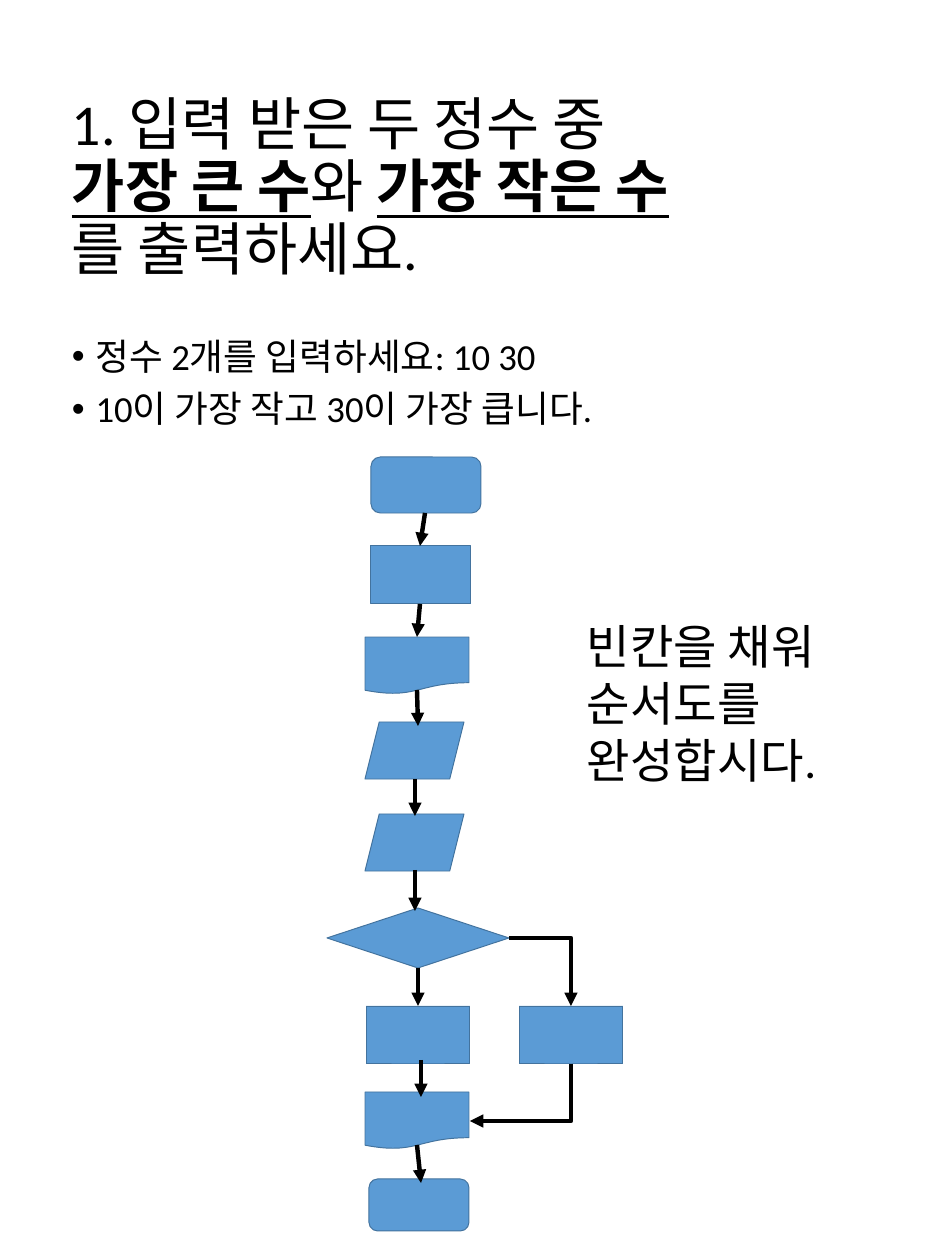
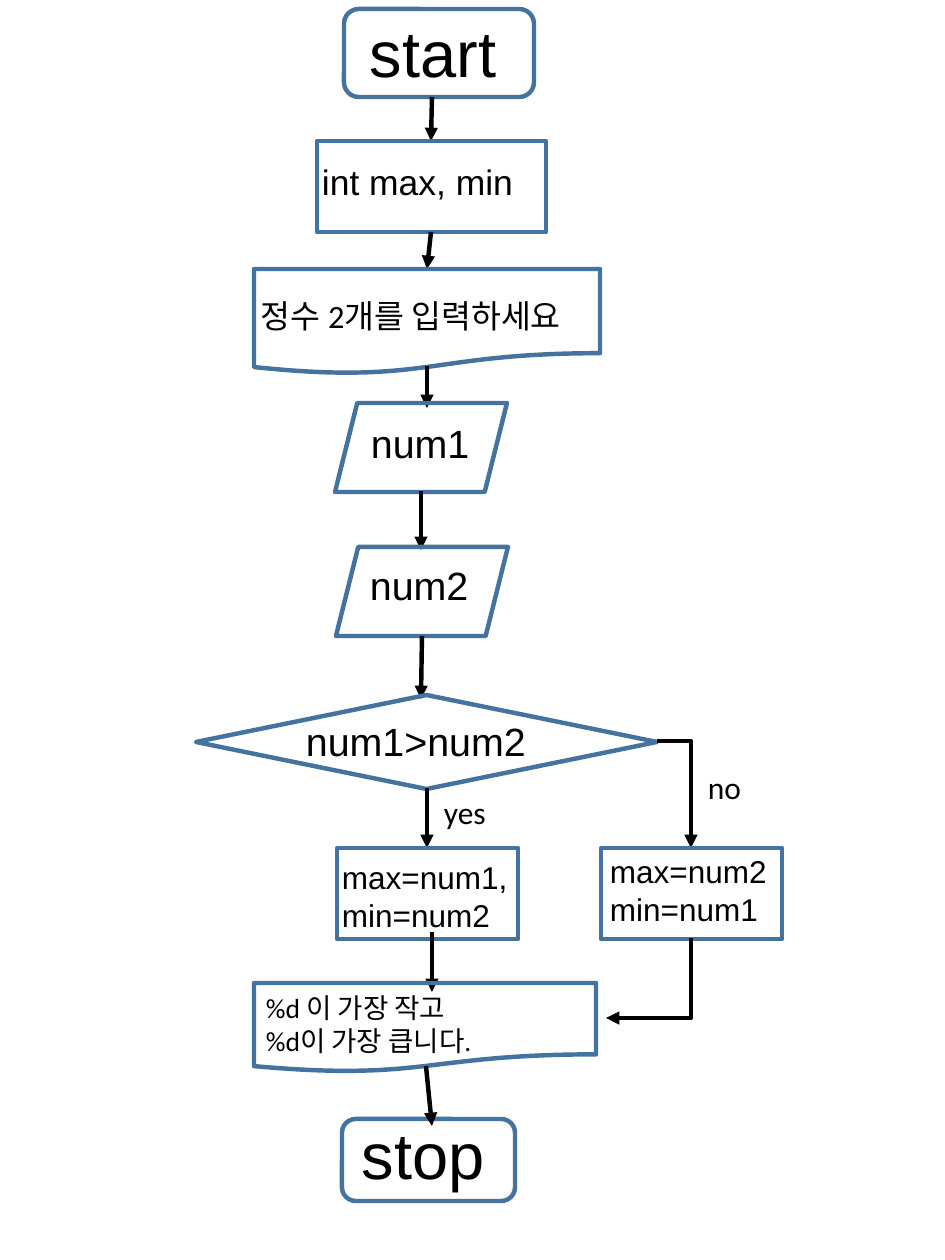
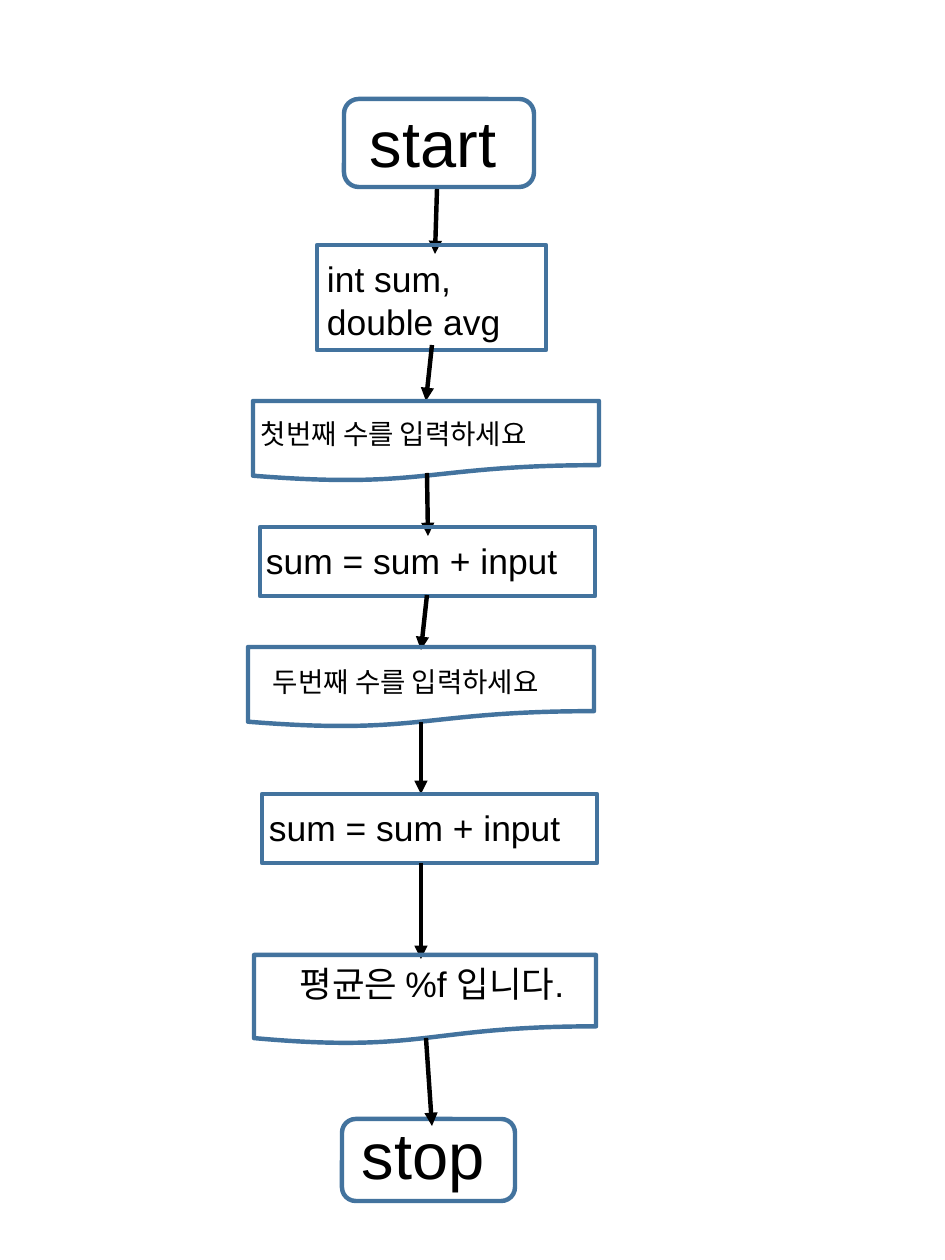
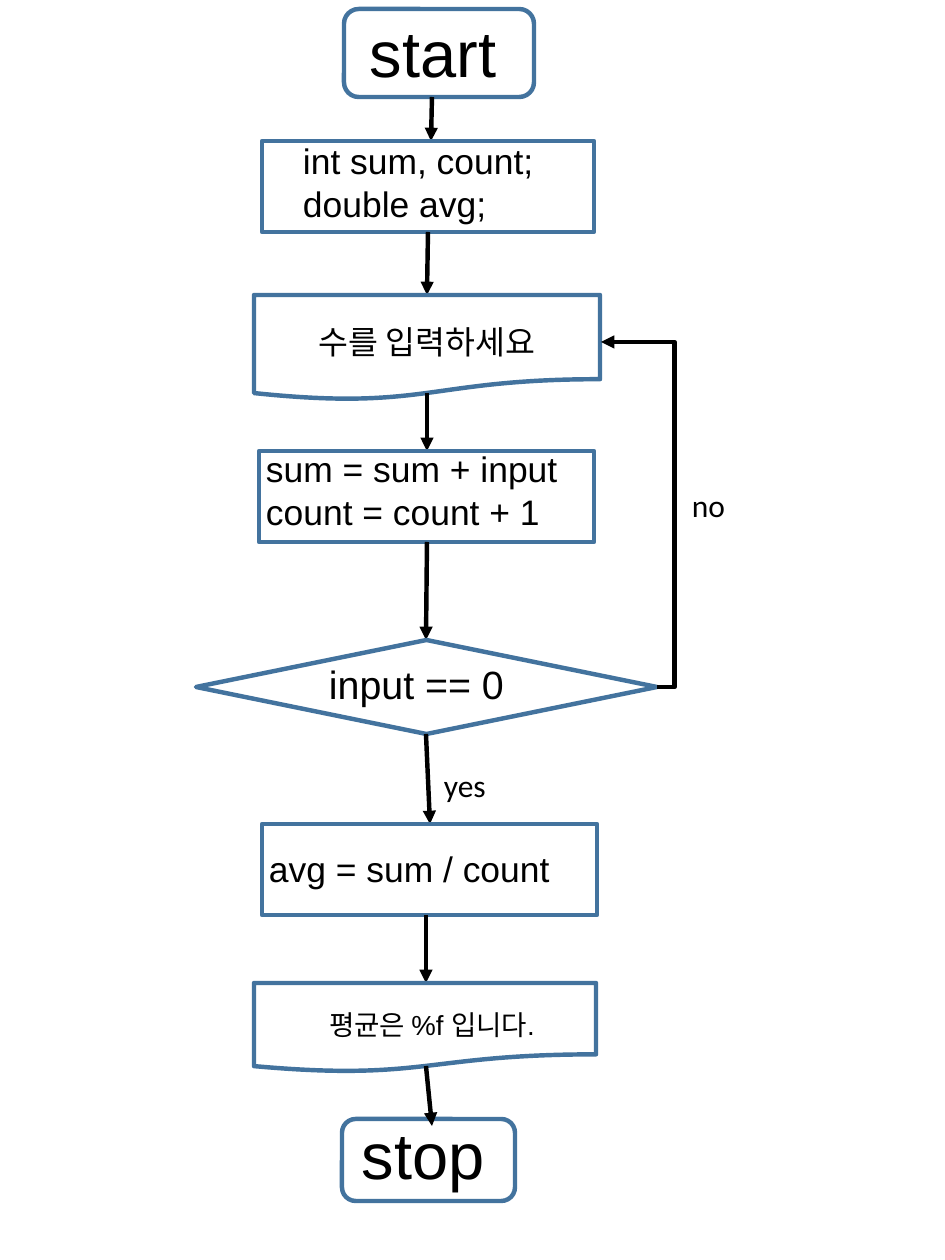
from dataclasses import dataclass
from enum import Enum
from typing import Optional, Union

from lxml import etree
from pptx import Presentation
from pptx import util as u
from pptx.dml.color import RGBColor
from pptx.enum import shapes, text
from pptx.oxml.ns import qn

PX = 12192000 / 945
SLIDE_W, SLIDE_H = 945, 1260
MSO = shapes.MSO_SHAPE
LEFT, CENTER = text.PP_ALIGN.LEFT, text.PP_ALIGN.CENTER


@dataclass(frozen=True)
class Theme:
    ink: RGBColor = RGBColor(0x00, 0x00, 0x00)
    fill: RGBColor = RGBColor(0x5B, 0x9B, 0xD5)
    edge: RGBColor = RGBColor(0x43, 0x73, 0x9E)
    sans: str = "Calibri"
    code: str = "Arial"
    thin: float = 1
    thick: float = 4.5
    terminal: float = 66
    title: float = 58.7
    note: float = 48
    condition: float = 40
    body: float = 37.3
    step: float = 36
    prompt: float = 33
    branch: float = 32
    message: float = 28


THEME = Theme()


class Route(Enum):
    STRAIGHT = "line"
    ACROSS_DOWN = "bentConnector2"
    DOWN_ACROSS = "bentConnector2 turned"
    LOOP_BACK = "bentConnector3"


@dataclass(frozen=True)
class Node:
    kind: MSO
    x: int
    y: int
    w: int
    h: int
    filled: bool = False


@dataclass(frozen=True)
class Arrow:
    x1: int
    y1: int
    x2: int
    y2: int
    route: Route = Route.STRAIGHT


@dataclass(frozen=True)
class Label:
    words: str
    x: int
    y: int
    w: int
    size: float
    font: str = THEME.code
    align: text.PP_ALIGN = LEFT
    rows: Optional[int] = None

    @property
    def h(self) -> int:
        rows = self.rows or len(self.words.split("\n"))
        return round((rows * self.size * 1.2 + 7.2) * SLIDE_W / 960)


Item = Union[Node, Arrow, Label]


def px(n: float) -> u.Emu:
    return u.Emu(round(n * PX))


def add_child(parent, tag: str, **attrs: str):
    el = etree.SubElement(parent, qn(tag))
    for name, value in attrs.items():
        el.set(name, value)
    return el


def write(p, words: str, *, size: float, font: str = THEME.sans,
          bold: bool = False, underline: bool = False) -> None:
    for i, part in enumerate(words.split("\n")):
        if i:
            p.add_line_break()
        if part:
            r = p.add_run()
            r.text = part
            r.font.size, r.font.name = u.Pt(size), font
            r.font.bold, r.font.underline = bold, underline
            r.font.color.rgb = THEME.ink


def add_frame(s, x: int, y: int, w: int, h: int):
    tf = s.shapes.add_textbox(px(x), px(y), px(w), px(h)).text_frame
    tf.word_wrap = True
    return tf


def next_paragraph(tf, i: int):
    return tf.add_paragraph() if i else tf.paragraphs[0]


def draw_node(s, n: Node) -> None:
    sp = s.shapes.add_shape(n.kind, px(n.x), px(n.y), px(n.w), px(n.h))
    sp.shadow.inherit = False
    if n.filled:
        sp.fill.solid()
        sp.fill.fore_color.rgb = THEME.fill
    else:
        sp.fill.background()
    sp.line.color.rgb = THEME.edge
    sp.line.width = u.Pt(THEME.thin if n.filled else THEME.thick)


def draw_arrow(s, a: Arrow) -> None:
    x1, y1, x2, y2 = a.x1, a.y1, a.x2, a.y2
    if a.route is Route.DOWN_ACROSS:
        w, h = abs(y2 - y1), abs(x2 - x1)
        left, top = (x1 + x2 - w) / 2, (y1 + y2 - h) / 2
        x1, y1, x2, y2 = left, top, left + w, top + h
    straight = a.route is Route.STRAIGHT
    kind = shapes.MSO_CONNECTOR.STRAIGHT if straight else shapes.MSO_CONNECTOR.ELBOW
    c = s.shapes.add_connector(kind, px(x1), px(y1), px(x2), px(y2))
    c.line.color.rgb = THEME.ink
    c.line.width = u.Pt(THEME.thick)
    add_child(c.get_or_add_ln(), "a:tailEnd", type="triangle")
    sp_pr = c._element.spPr
    add_child(sp_pr, "a:effectLst")
    geom = sp_pr.find(qn("a:prstGeom"))
    if a.route in (Route.ACROSS_DOWN, Route.DOWN_ACROSS):
        geom.set("prst", "bentConnector2")
    if a.route is Route.DOWN_ACROSS:
        sp_pr.find(qn("a:xfrm")).set("rot", "5400000")
    if a.route is Route.LOOP_BACK:
        for old in list(geom):
            geom.remove(old)
        guides = add_child(geom, "a:avLst")
        add_child(guides, "a:gd", name="adj1", fmla="val -31600")


def draw_label(s, b: Label) -> None:
    tf = add_frame(s, b.x, b.y, b.w, b.h)
    tf.auto_size = text.MSO_AUTO_SIZE.SHAPE_TO_FIT_TEXT
    for i, line in enumerate(b.words.split("\n")):
        p = next_paragraph(tf, i)
        p.alignment = b.align
        write(p, line, size=b.size, font=b.font)


def draw_title(s, runs: list[tuple[str, bool]]) -> None:
    tf = add_frame(s, 65, 67, 815, 244)
    tf.vertical_anchor = text.MSO_ANCHOR.MIDDLE
    p = tf.paragraphs[0]
    p.line_spacing = 0.9
    for words, strong in runs:
        write(p, words, size=THEME.title, bold=strong, underline=strong)


def draw_bullets(s, lines: list[str]) -> None:
    tf = add_frame(s, 65, 335, 815, 799)
    for i, line in enumerate(lines):
        p = next_paragraph(tf, i)
        p.line_spacing, p.space_before = 0.9, u.Pt(13.3)
        p_pr = p._p.get_or_add_pPr()
        p_pr.set("marL", "304800")
        p_pr.set("indent", "-304800")
        add_child(p_pr, "a:buFont", typeface=THEME.code)
        add_child(p_pr, "a:buChar", char="•")
        write(p, line, size=THEME.body)


def draw(s, items: list[Item]) -> None:
    painters = {Node: draw_node, Arrow: draw_arrow, Label: draw_label}
    for item in items:
        painters[type(item)](s, item)


def start(y: int) -> list[Item]:
    return [Node(MSO.ROUNDED_RECTANGLE, 344, y, 190, 88),
            Label("start", 363, y, 148, THEME.terminal)]


def stop(arrow_top: int) -> list[Item]:
    return [Node(MSO.ROUNDED_RECTANGLE, 342, 1119, 173, 82),
            Arrow(426, arrow_top, 432, 1126),
            Label("stop", 355, 1111, 148, THEME.terminal)]


def step(words: str, x: int, y: int, w: int, h: int,
         label_x: int, label_y: int, label_w: int,
         size: float = THEME.step) -> list[Item]:
    return [Node(MSO.RECTANGLE, x, y, w, h),
            Label(words, label_x, label_y, label_w, size)]


def message(words: str, x: int, y: int, w: int, h: int,
            label_x: int, label_y: int, size: float,
            font: str = THEME.code, align: text.PP_ALIGN = LEFT) -> list[Item]:
    return [Node(MSO.FLOWCHART_DOCUMENT, x, y, w, h),
            Label(words, label_x, label_y, 346, size, font, align)]


def read_number(words: str, x: int, y: int, label_x: int, label_y: int) -> list[Item]:
    return [Node(MSO.PARALLELOGRAM, x, y, 172, 89),
            Label(words, label_x, label_y, 148, THEME.condition)]


def decision(words: str, y: int, label_x: int, label_y: int) -> list[Item]:
    return [Node(MSO.DIAMOND, 196, y, 461, 94),
            Label(words, label_x, label_y, 298, THEME.condition)]


def branch(words: str, x: int, y: int) -> Label:
    return Label(words, x, y, 73, THEME.branch, THEME.sans)


def blank_chart() -> list[Item]:
    cells = [(MSO.ROUNDED_RECTANGLE, 371, 457, 110, 56),
             (MSO.RECTANGLE, 371, 546, 100, 58),
             (MSO.FLOWCHART_DOCUMENT, 365, 637, 104, 57),
             (MSO.PARALLELOGRAM, 365, 722, 99, 57),
             (MSO.PARALLELOGRAM, 365, 814, 99, 57),
             (MSO.DIAMOND, 327, 908, 182, 60),
             (MSO.RECTANGLE, 366, 1006, 104, 58),
             (MSO.RECTANGLE, 519, 1006, 104, 58),
             (MSO.FLOWCHART_DOCUMENT, 365, 1092, 104, 57),
             (MSO.ROUNDED_RECTANGLE, 369, 1179, 100, 52)]
    return [
        *(Node(*cell, filled=True) for cell in cells),
        Arrow(425, 513, 420, 546),
        Arrow(420, 604, 417, 637),
        Arrow(417, 690, 418, 726),
        Arrow(415, 779, 415, 816),
        Arrow(415, 870, 415, 911),
        Arrow(418, 968, 418, 1006),
        Arrow(421, 1060, 421, 1097),
        Arrow(417, 1145, 421, 1183),
        Arrow(509, 938, 571, 1006, Route.ACROSS_DOWN),
        Arrow(571, 1064, 470, 1121, Route.DOWN_ACROSS),
        Label("빈칸을 채워 순서도를 완성합시다.", 580, 614, 326,
              THEME.note, THEME.sans, rows=3),
    ]


def max_min_chart() -> list[Item]:
    return [
        *start(9),
        Arrow(432, 97, 431, 141),
        *step("int max, min", 317, 141, 229, 91, 315, 157, 231),
        Arrow(431, 232, 427, 269),
        *message("정수 2개를 입력하세요", 254, 269, 346, 105,
                 254, 293, THEME.prompt, THEME.sans),
        Arrow(427, 366, 427, 408),
        *read_number("num1", 335, 403, 364, 416),
        Arrow(421, 491, 421, 550),
        *read_number("num2", 336, 547, 363, 558),
        Arrow(422, 636, 421, 699),
        *decision("num1>num2", 695, 299, 714),
        Arrow(427, 788, 427, 848),
        branch("yes", 437, 790),
        Arrow(657, 741, 691, 848, Route.ACROSS_DOWN),
        branch("no", 701, 765),
        *step("max=num1,\nmin=num2", 337, 848, 181, 91, 335, 855, 181, THEME.branch),
        *step("max=num2\nmin=num1", 601, 848, 181, 91, 603, 849, 181, THEME.branch),
        Arrow(432, 932, 432, 992),
        Arrow(691, 938, 606, 1018, Route.DOWN_ACROSS),
        *message("%d 이 가장 작고\n%d이 가장 큽니다.", 254, 983, 342, 89,
                 259, 987, THEME.message, THEME.sans),
        *stop(1066),
    ]


def two_number_average_chart() -> list[Item]:
    return [
        *start(99),
        Arrow(437, 189, 435, 254),
        *step("int sum,\ndouble avg", 317, 245, 229, 105, 320, 254, 231),
        Arrow(432, 345, 426, 401),
        *message("첫번째 수를 입력하세요", 253, 401, 346, 80, 254, 413, THEME.message),
        Arrow(427, 473, 428, 536),
        *step("sum = sum + input", 260, 527, 335, 69, 259, 536, 338),
        Arrow(427, 595, 421, 650),
        *message("두번째 수를 입력하세요", 248, 647, 346, 80, 266, 661, THEME.message),
        Arrow(421, 722, 421, 794),
        *step("sum = sum + input", 262, 794, 335, 69, 262, 803, 338),
        Arrow(421, 863, 421, 959),
        *message("평균은 %f 입니다.", 254, 955, 342, 89,
                 259, 959, THEME.step, align=CENTER),
        *stop(1038),
    ]


def running_average_chart() -> list[Item]:
    return [
        *start(9),
        Arrow(432, 97, 431, 141),
        *step("int sum, count;\ndouble avg;", 262, 141, 332, 91, 296, 136, 278),
        Arrow(428, 232, 427, 295),
        *message("수를 입력하세요", 254, 295, 346, 105,
                 254, 319, THEME.prompt, THEME.sans, CENTER),
        Arrow(427, 393, 427, 451),
        *step("sum = sum + input\ncount = count + 1", 259, 451, 335, 91, 259, 444, 338),
        Arrow(427, 542, 426, 640),
        *decision("input == 0", 640, 322, 657),
        Arrow(657, 687, 601, 342, Route.LOOP_BACK),
        branch("no", 685, 483),
        Arrow(426, 734, 430, 824),
        branch("yes", 437, 763),
        *step("avg = sum / count", 262, 824, 335, 91, 262, 844, 338),
        Arrow(426, 915, 426, 983),
        *message("평균은 %f 입니다.", 254, 983, 342, 89,
                 259, 1004, THEME.message, align=CENTER),
        *stop(1066),
    ]


def main() -> None:
    prs = Presentation()
    prs.slide_width, prs.slide_height = px(SLIDE_W), px(SLIDE_H)
    charts = [blank_chart(), max_min_chart(),
              two_number_average_chart(), running_average_chart()]
    for i, chart in enumerate(charts):
        s = prs.slides.add_slide(prs.slide_layouts[6])
        if i == 0:
            draw_title(s, [("1. 입력 받은 두 정수 중\n", False), ("가장 큰 수", True),
                           ("와 ", False), ("가장 작은 수\n", True),
                           ("를 출력하세요.", False)])
            draw_bullets(s, ["정수 2개를 입력하세요: 10 30",
                             "10이 가장 작고 30이 가장 큽니다."])
        draw(s, chart)
    prs.save("out.pptx")


main()
